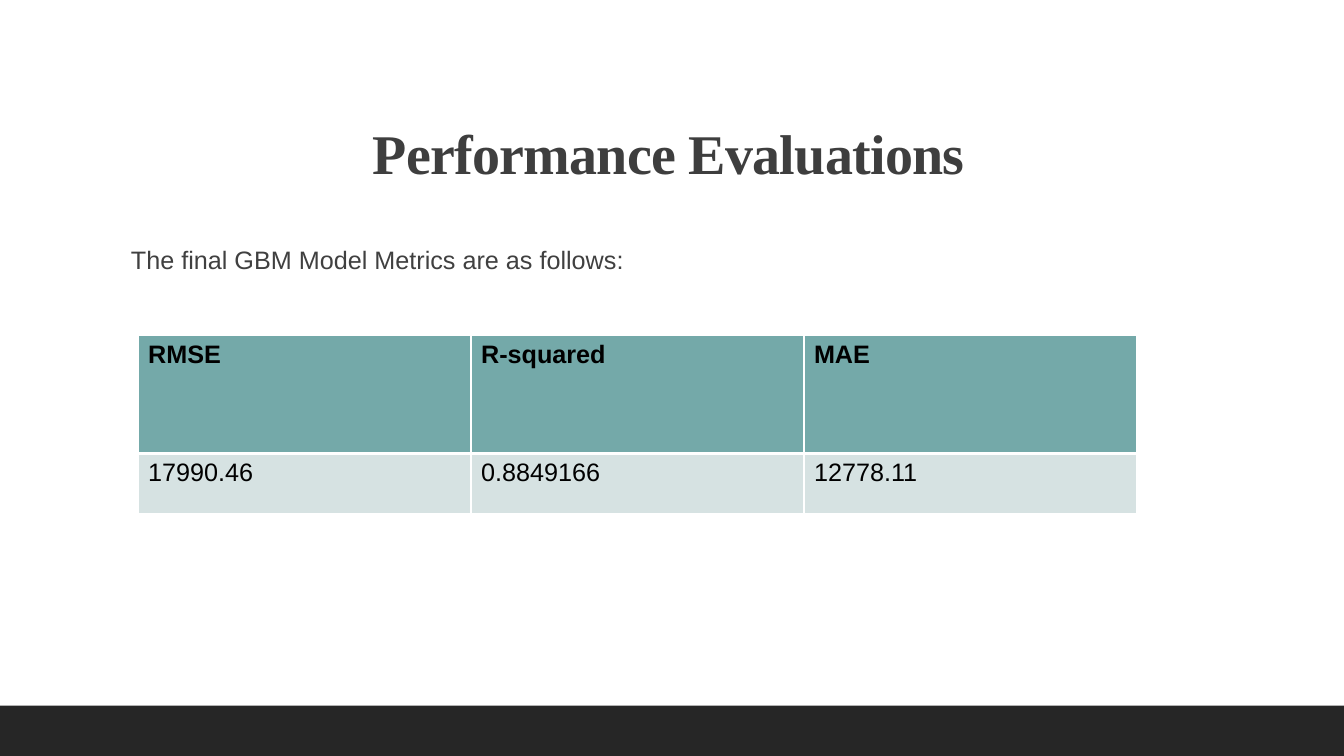
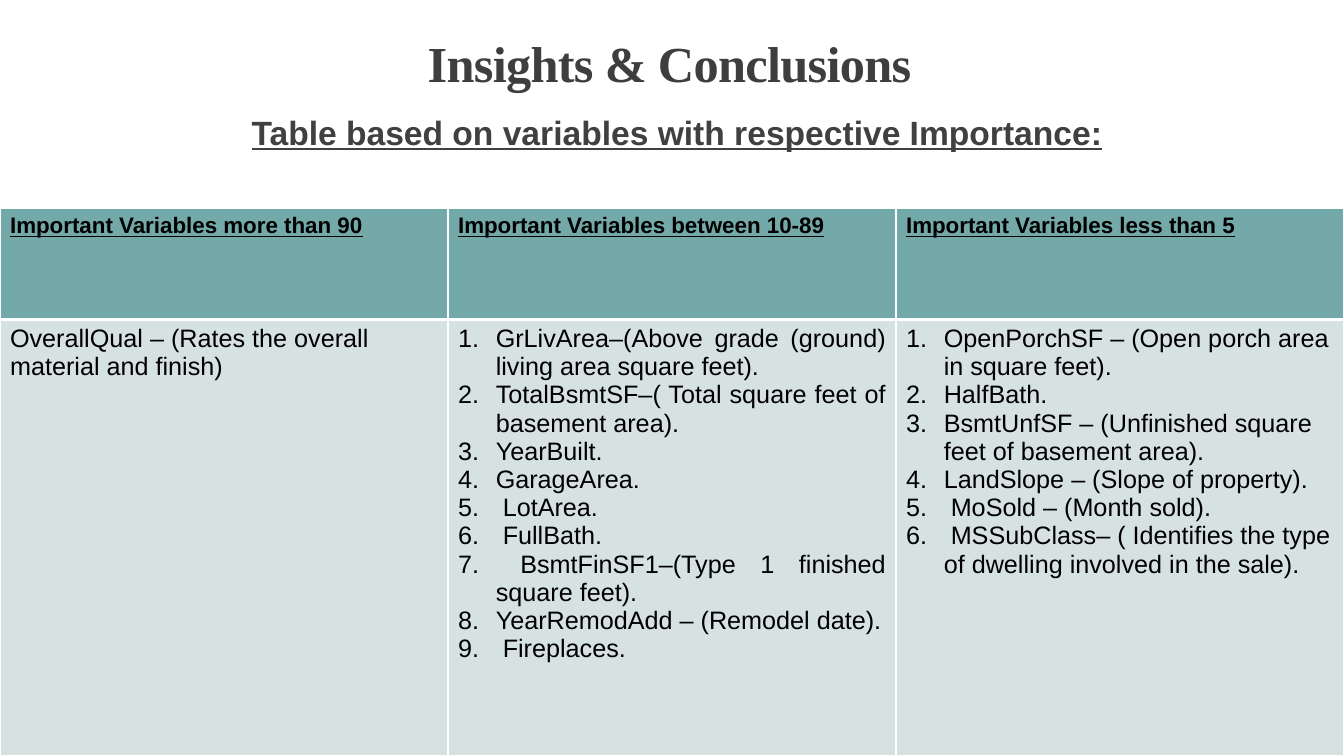
"""Build two slides on model performance and variable importance."""
from lxml.etree import SubElement
from pptx import Presentation
from pptx.dml.color import RGBColor
from pptx.enum.shapes import MSO_SHAPE as Shape
from pptx.enum.text import MSO_ANCHOR as Anchor, MSO_AUTO_SIZE as Fit, PP_ALIGN as Align
from pptx.oxml.ns import qn
from pptx.util import Cm, Pt

WHITE = RGBColor(0xFF, 0xFF, 0xFF)
BLACK = RGBColor(0, 0, 0)
DARK = RGBColor(0x26, 0x26, 0x26)
HEAD = RGBColor(0x3E, 0x3E, 0x3E)
GREY = RGBColor(0x40, 0x40, 0x40)
TEAL = RGBColor(0x74, 0xA9, 0xA9)
PALE = RGBColor(0xD6, 0xE2, 0xE2)
WIDE, HIGH = 33.87, 19.05

LARGE = "OverallQual – (Rates the overall material and finish)"
MEDIUM = "\n".join([
    "GrLivArea–(Above grade (ground) living area square feet).",
    "TotalBsmtSF–( Total square feet of basement area).",
    "YearBuilt.",
    "GarageArea.",
    " LotArea.",
    " FullBath.",
    " BsmtFinSF1–(Type 1 finished square feet).",
    "YearRemodAdd – (Remodel date).",
    " Fireplaces.",
])
SMALL = "\n".join([
    "OpenPorchSF – (Open porch area in square feet).",
    "HalfBath.",
    "BsmtUnfSF – (Unfinished square feet of basement area).",
    "LandSlope – (Slope of property).",
    " MoSold – (Month sold).",
    " MSSubClass– ( Identifies the type of dwelling involved in the sale).",
])

PAGES = [
    dict(title="Performance Evaluations ", size=40, top=(3.05, 0.79, 27.94, 4.04),
         lead="The final GBM Model Metrics are as follows:", lead_size=18,
         body=(3.05, 5.87, 27.94, 10.44), strong=False, band=True,
         grid=(3.48, 8.46, 25.17), rows=(2.97, 1.5), head_size=18,
         cells=[["RMSE", "R-squared", "MAE"],
                ["17990.46", "0.8849166", "12778.11"]]),
    dict(title="Insights & Conclusions ", size=36, top=(3.05, 0.79, 27.94, 1.68),
         lead="Table based on variables with respective Importance:", lead_size=24,
         body=(0, 2.49, WIDE, 16.56), strong=True, band=False,
         grid=(0, 5.26, WIDE), rows=(2.79, 11), head_size=16,
         cells=[["Important Variables more than 90",
                 "Important Variables between 10-89",
                 "Important Variables less than 5"],
                [LARGE, MEDIUM, SMALL]]),
]


def style(par, size, color, bold=False, line=False, face="Arial"):
    for run in par.runs:
        font = run.font
        font.name, font.size, font.bold, font.underline = face, Pt(size), bold, line
        font.color.rgb = color


def place(box, spot, text):
    box.left, box.top, box.width, box.height = [Cm(n) for n in spot]
    frame = box.text_frame
    frame.text = text
    frame.word_wrap, frame.auto_size = True, Fit.NONE
    return frame


deck = Presentation()
deck.slide_width, deck.slide_height = Cm(WIDE), Cm(HIGH)

for page in PAGES:
    slide = deck.slides.add_slide(deck.slide_layouts[1])

    frame = place(slide.shapes.title, page["top"], page["title"])
    frame.vertical_anchor = Anchor.BOTTOM
    par = frame.paragraphs[0]
    par.alignment, par.line_spacing = Align.CENTER, 0.9
    style(par, page["size"], HEAD, bold=True, face="Times New Roman")
    par.runs[0].font._element.set("spc", "-50")

    frame = place(slide.placeholders[1], page["body"], page["lead"])
    frame.vertical_anchor = Anchor.TOP
    frame.margin_left = frame.margin_right = 0
    par = frame.paragraphs[0]
    par.alignment = Align.CENTER if page["strong"] else Align.LEFT
    par.line_spacing, par.space_before, par.space_after = 1.2, Pt(12), Pt(2)
    style(par, page["lead_size"], GREY, page["strong"], page["strong"])
    props = par._p.get_or_add_pPr()
    props.set("marL", str(Cm(0.25)))
    props.set("indent", "0")
    SubElement(props, qn("a:buNone"))

    if page["band"]:
        band = slide.shapes.add_shape(Shape.RECTANGLE, 0, Cm(17.78), Cm(WIDE), Cm(1.27))
        band.shadow.inherit = False
        band.fill.solid()
        band.fill.fore_color.rgb = DARK
        band.line.fill.background()

    left, top, width = page["grid"]
    rows = page["rows"]
    table = slide.shapes.add_table(2, 3, Cm(left), Cm(top), Cm(width), Cm(sum(rows))).table
    for r, texts in enumerate(page["cells"]):
        table.rows[r].height = Cm(rows[r])
        for c, text in enumerate(texts):
            cell = table.cell(r, c)
            cell.text_frame.text = text
            props = cell._tc.get_or_add_tcPr()
            for side in "LRTB":
                thick = side == "TB"[r] if r else side == "B"
                if r:
                    thick = side == "T"
                edge = SubElement(props, qn(f"a:ln{side}"), w=str(Pt(3 if thick else 1)))
                fill = SubElement(edge, qn("a:solidFill"))
                SubElement(fill, qn("a:srgbClr"), val=str(WHITE))
            cell.fill.solid()
            cell.fill.fore_color.rgb = PALE if r else TEAL
            for par in cell.text_frame.paragraphs:
                if r:
                    style(par, 18, BLACK)
                else:
                    style(par, page["head_size"], BLACK, True, page["strong"])
                if "\n" in text:
                    par.alignment = Align.JUSTIFY if c == 1 else Align.LEFT
                    props = par._p.get_or_add_pPr()
                    props.set("marL", str(Cm(0.95)))
                    props.set("indent", str(-Cm(0.95)))
                    SubElement(props, qn("a:buAutoNum"), type="arabicPeriod")

deck.save("out.pptx")
